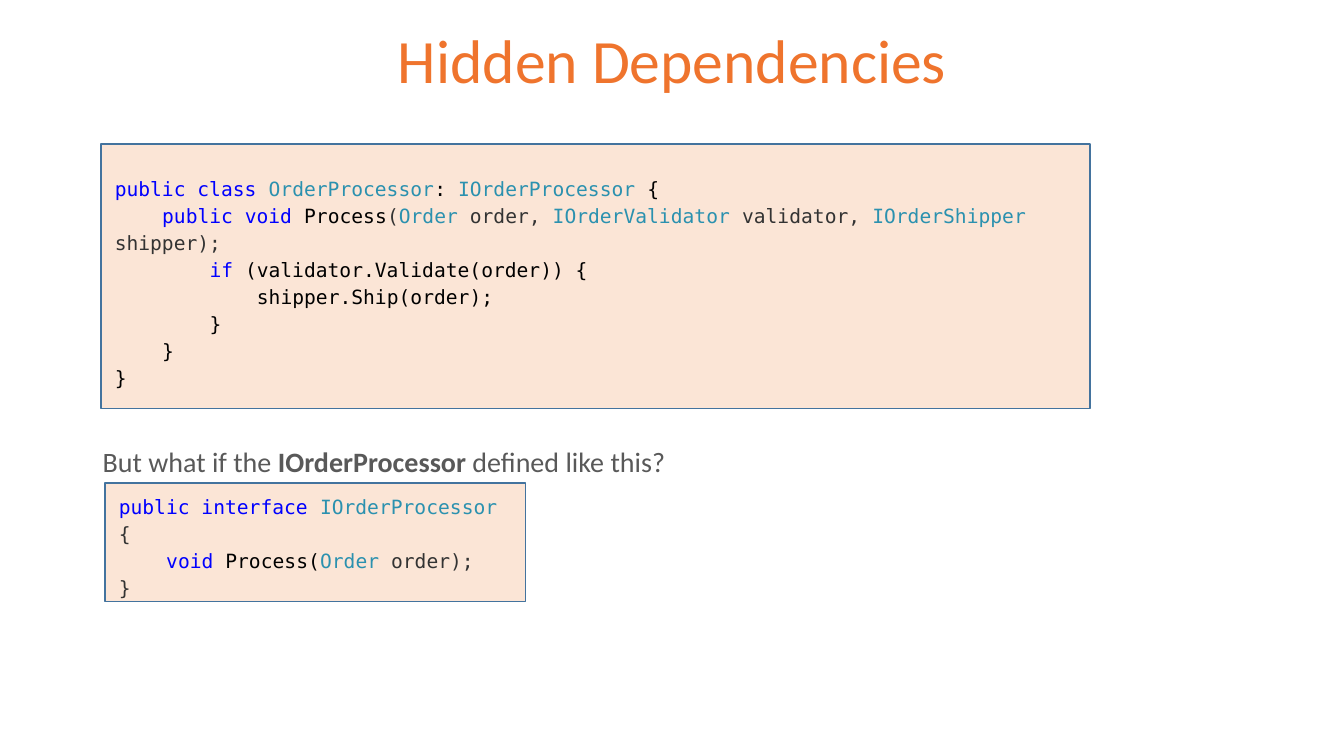
from pptx import Presentation
from pptx.dml.color import RGBColor
from pptx.enum.shapes import MSO_SHAPE
from pptx.enum.text import MSO_ANCHOR, MSO_AUTO_SIZE, PP_ALIGN
from pptx.util import Inches, Pt

ORANGE = RGBColor(0xEF, 0x74, 0x2D)
PEACH = RGBColor(0xFB, 0xE5, 0xD6)
BORDER = RGBColor(0x43, 0x73, 0x9E)
GRAY = RGBColor(0x59, 0x59, 0x59)
KEYWORD = RGBColor(0x00, 0x00, 0xFF)
TYPE = RGBColor(0x2B, 0x91, 0xAF)
PLAIN = RGBColor(0x00, 0x00, 0x00)
DARK = RGBColor(0x33, 0x33, 0x33)

PROSE_FONT, CODE_FONT = "Calibri", "DejaVu Sans Mono"
CODE_INDENT = Inches(0.47)  # four characters of 14 pt code

# Each code line: indent level, then coloured pieces
CLASS_CODE = [
    (0, [("public class ", KEYWORD), ("OrderProcessor", TYPE), (": ", PLAIN),
         ("IOrderProcessor ", TYPE), ("{", PLAIN)]),
    (1, [("public void ", KEYWORD), ("Process", PLAIN), ("(", DARK), ("Order ", TYPE),
         ("order, ", DARK), ("IOrderValidator", TYPE), (" validator, ", DARK),
         ("IOrderShipper", TYPE), (" shipper);", DARK)]),
    (2, [("if", KEYWORD), (" (validator.Validate(order)) {", PLAIN)]),
    (3, [("shipper.Ship(order);", PLAIN)]),
    (2, [("}", PLAIN)]),
    (1, [("}", PLAIN)]),
    (0, [("}", PLAIN)]),
]
INTERFACE_CODE = [
    (0, [("public interface ", KEYWORD), ("IOrderProcessor", TYPE), (" {", DARK)]),
    (1, [("void ", KEYWORD), ("Process(", PLAIN), ("Order", TYPE), (" order);", DARK)]),
    (0, [("}", DARK)]),
]


def add_run(paragraph, text, font_name, size, color, bold=False):
    run = paragraph.add_run()
    run.text = text
    for name, value in {"name": font_name, "size": Pt(size), "bold": bold}.items():
        setattr(run.font, name, value)
    run.font.color.rgb = color


def set_frame(frame, **settings):
    for name, value in settings.items():
        setattr(frame, name, value)


def add_heading(slide, left, top, width, height):
    heading = slide.shapes.title
    set_frame(heading, left=left, top=top, width=width, height=height)
    set_frame(heading.text_frame, vertical_anchor=MSO_ANCHOR.MIDDLE, word_wrap=True)
    line = heading.text_frame.paragraphs[0]
    line.alignment, line.line_spacing = PP_ALIGN.CENTER, 0.9
    add_run(line, "Hidden Dependencies", PROSE_FONT, 44, ORANGE)


def add_code_panel(slide, left, top, width, height, code, inset_x, inset_y, text_width, text_height):
    # Panel behind the code
    panel = slide.shapes.add_shape(MSO_SHAPE.RECTANGLE, left, top, width, height)
    panel.shadow.inherit = False
    panel.fill.solid()
    panel.fill.fore_color.rgb = PEACH
    panel.line.color.rgb = BORDER
    panel.line.width = Pt(1)

    # Code text
    listing = slide.shapes.add_textbox(left + inset_x, top + inset_y, text_width, text_height)
    frame = listing.text_frame
    set_frame(frame, word_wrap=True, auto_size=MSO_AUTO_SIZE.SHAPE_TO_FIT_TEXT,
              vertical_anchor=MSO_ANCHOR.MIDDLE, margin_left=Inches(0.1),
              margin_right=Inches(0.1), margin_top=Inches(0.05), margin_bottom=0)
    for number, (level, pieces) in enumerate(code):
        line = frame.add_paragraph() if number else frame.paragraphs[0]
        line.line_spacing = 1.15
        properties = line._p.get_or_add_pPr()
        properties.set("marL", "0")
        properties.set("indent", str(level * CODE_INDENT))
        for text, color in pieces:
            add_run(line, text, CODE_FONT, 14, color)


def add_question(slide, left, top, width, height):
    question = slide.shapes.add_textbox(left, top, width, height)
    set_frame(question.text_frame, word_wrap=True, auto_size=MSO_AUTO_SIZE.SHAPE_TO_FIT_TEXT)
    line = question.text_frame.paragraphs[0]
    for text, bold in [("But what if the ", False), ("IOrderProcessor", True),
                       (" defined like this?", False)]:
        add_run(line, text, PROSE_FONT, 20, GRAY, bold)


def main():
    deck = Presentation()
    deck.slide_width, deck.slide_height = Inches(13.33), Inches(7.5)
    slide = deck.slides.add_slide(deck.slide_layouts[5])

    add_heading(slide, Inches(0.92), Inches(-0.09), Inches(11.5), Inches(1.45))
    add_code_panel(slide, Inches(1), Inches(1.43), Inches(9.81), Inches(2.62), CLASS_CODE,
                   Inches(0.04), Inches(0.36), Inches(9.77), Inches(1.95))
    add_question(slide, Inches(0.92), Inches(4.36), Inches(5.8), Inches(0.44))
    add_code_panel(slide, Inches(1.04), Inches(4.79), Inches(4.17), Inches(1.18), INTERFACE_CODE,
                   Inches(0.04), Inches(0.17), Inches(4.01), Inches(0.85))

    deck.save("out.pptx")


if __name__ == "__main__":
    main()
